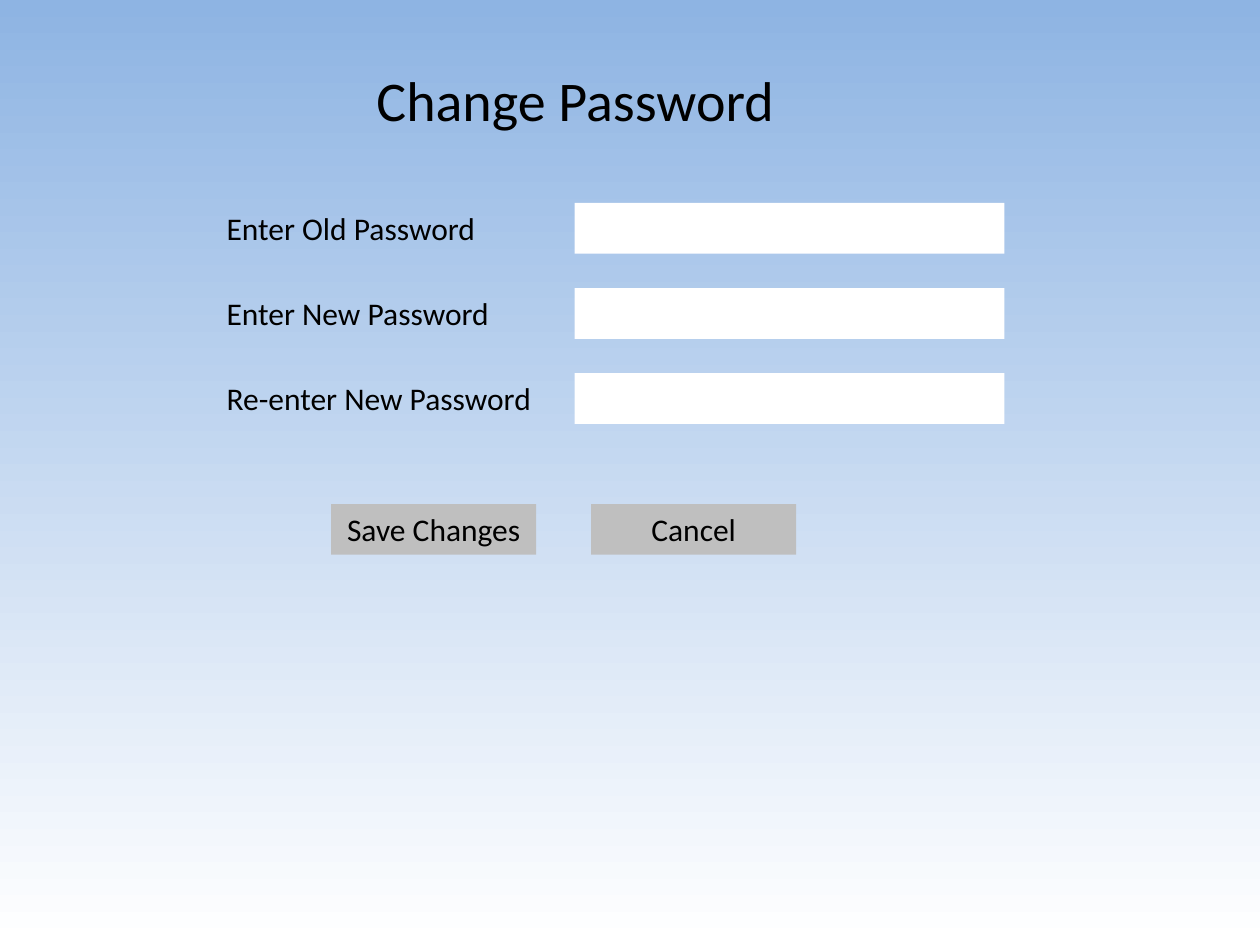
from pptx import Presentation
from pptx.dml.color import RGBColor
from pptx.enum.shapes import MSO_SHAPE
from pptx.enum.text import MSO_ANCHOR, MSO_AUTO_SIZE, PP_ALIGN
from pptx.util import Pt

RECTANGLE = MSO_SHAPE.RECTANGLE
TOP = MSO_ANCHOR.TOP
GROW = MSO_AUTO_SIZE.SHAPE_TO_FIT_TEXT
LEFT, CENTER = PP_ALIGN.LEFT, PP_ALIGN.CENTER

TITLE = "Change Password"
FIELDS = ["Enter Old Password", "Enter New Password", "Re-enter New Password"]
BUTTONS = ["Save Changes", "Cancel"]

COLORS = {"sky": "8EB4E3", "white": "FFFFFF", "button": "BFBFBF", "text": "000000"}
FONT = "Calibri"
TITLE_SIZE, BODY_SIZE = 32, 18

ROW_HEIGHT = 29
FIELD_TOP, FIELD_STEP = 116, 48.6
LABEL_LEFT, LABEL_WIDTH = 122.4, 193
INPUT_LEFT, INPUT_WIDTH = 328.4, 245.6
BUTTON_LEFT, BUTTON_TOP, BUTTON_WIDTH, BUTTON_STEP = 189.2, 288, 117.2, 148.6


def rgb(name):
    return RGBColor.from_string(COLORS[name])


def write(shape, text, size, align):
    frame = shape.text_frame
    frame.word_wrap = True
    frame.auto_size = GROW
    frame.vertical_anchor = TOP
    paragraph = frame.paragraphs[0]
    paragraph.alignment = align
    run = paragraph.add_run()
    run.text = text
    run.font.name = FONT
    run.font.size = Pt(size)
    run.font.color.rgb = rgb("text")


def add_label(slide, text, size, *box):
    label = slide.shapes.add_textbox(*map(Pt, box))
    write(label, text, size, LEFT)


def add_box(slide, color, *box):
    rectangle = slide.shapes.add_shape(RECTANGLE, *map(Pt, box))
    rectangle.shadow.inherit = False
    rectangle.fill.solid()
    rectangle.fill.fore_color.rgb = rgb(color)
    rectangle.line.fill.background()
    return rectangle


def paint_background(slide):
    fill = slide.background.fill
    fill.gradient()
    fill.gradient_angle = 270  # counter-clockwise, so top to bottom
    for stop, position, color in zip(fill.gradient_stops, (0, 1), ("sky", "white")):
        stop.position = position
        stop.color.rgb = rgb(color)


def main():
    prs = Presentation()
    prs.slide_width, prs.slide_height = Pt(720), Pt(540)
    slide = prs.slides.add_slide(prs.slide_layouts[6])
    paint_background(slide)

    add_label(slide, TITLE, TITLE_SIZE, 208, 34, 250, 46)

    for row, field in enumerate(FIELDS):
        top = FIELD_TOP + row * FIELD_STEP
        add_label(slide, field, BODY_SIZE, LABEL_LEFT, top, LABEL_WIDTH, ROW_HEIGHT)
        add_box(slide, "white", INPUT_LEFT, top, INPUT_WIDTH, ROW_HEIGHT)

    for column, caption in enumerate(BUTTONS):
        left = BUTTON_LEFT + column * BUTTON_STEP
        button = add_box(slide, "button", left, BUTTON_TOP, BUTTON_WIDTH, ROW_HEIGHT)
        write(button, caption, BODY_SIZE, CENTER)

    prs.save("out.pptx")


if __name__ == "__main__":
    main()
